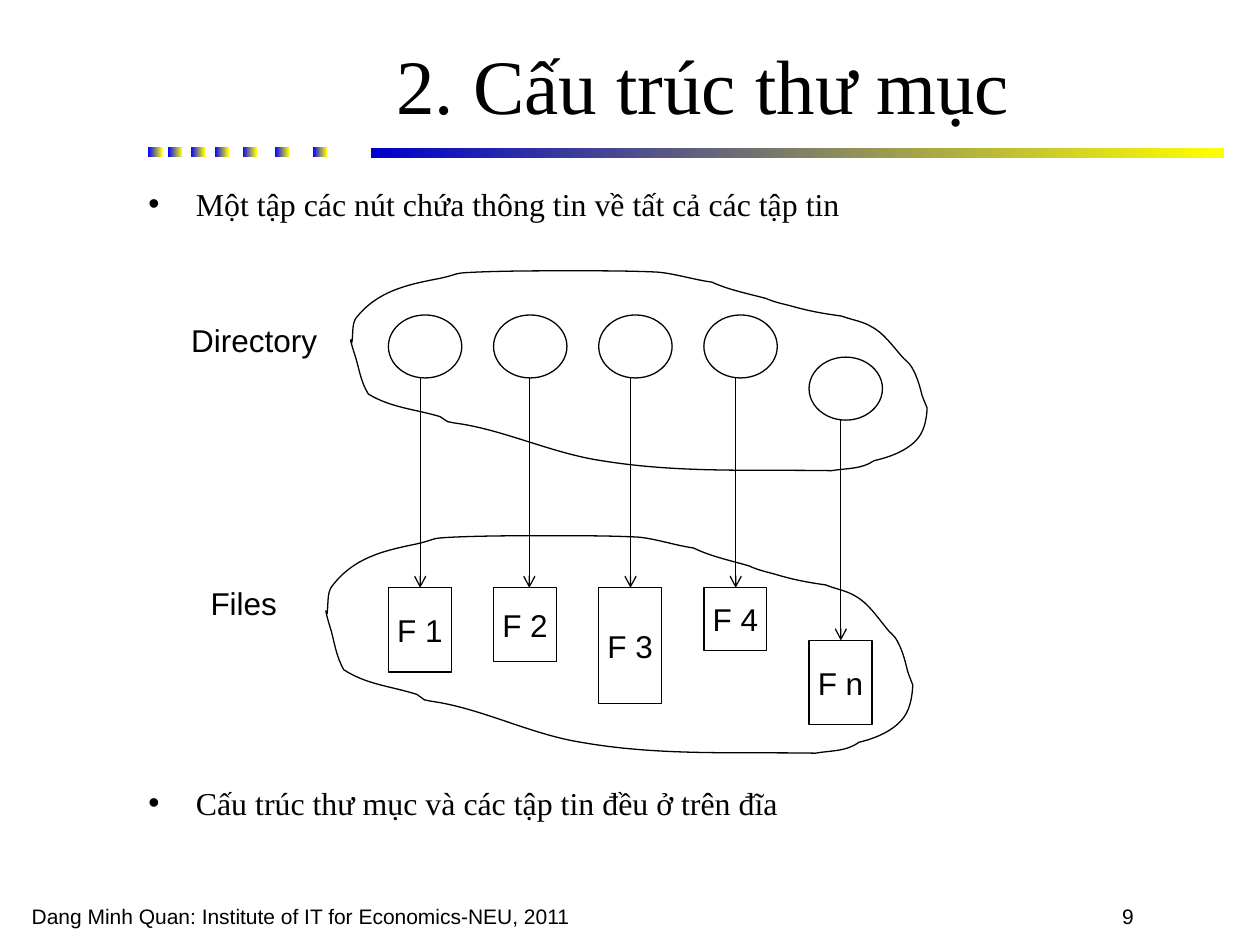
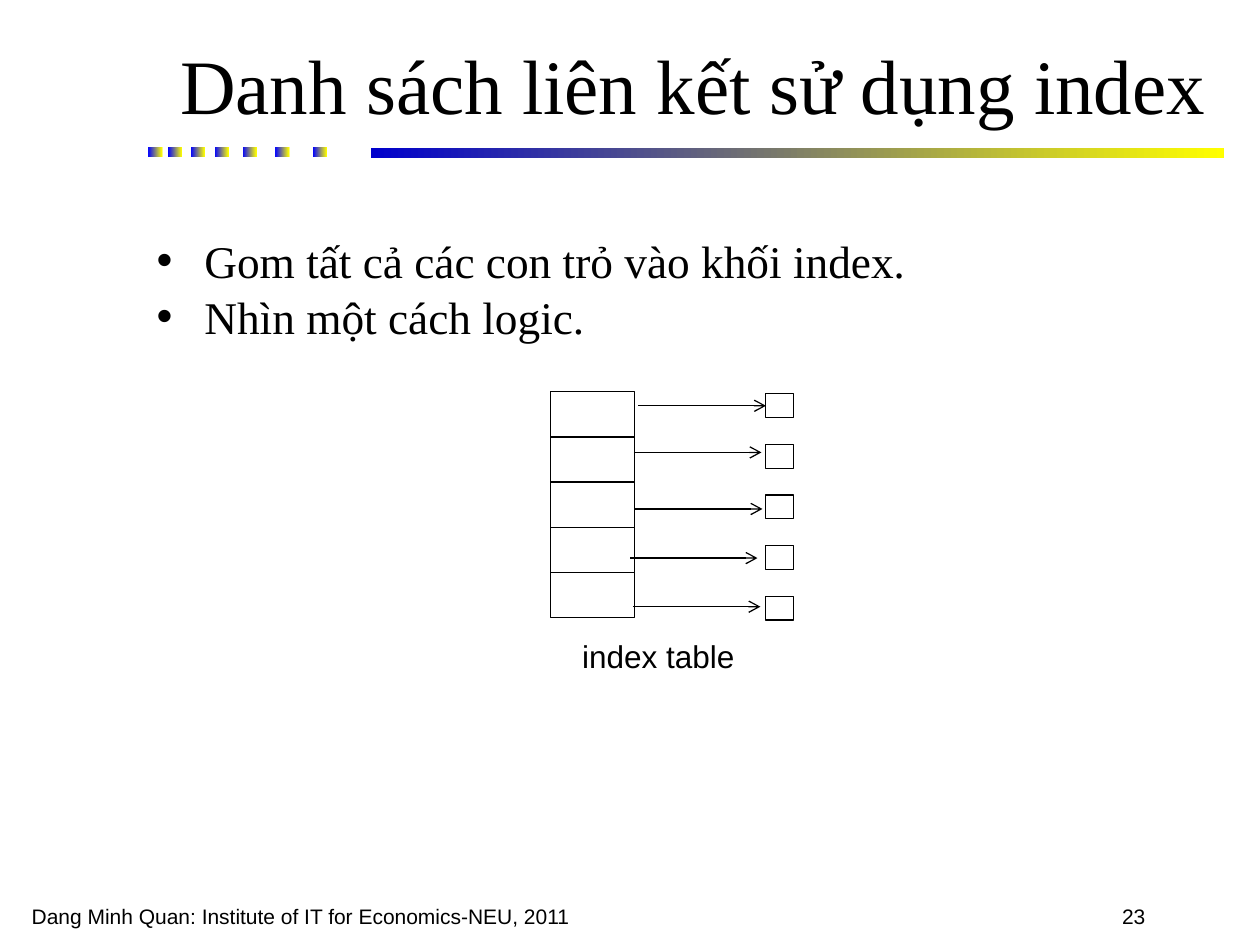
from collections import namedtuple

from lxml import etree
from pptx import Presentation
from pptx.dml.color import RGBColor
from pptx.enum import shapes as kinds, text as styles
from pptx.oxml import ns
from pptx.util import Cm, Pt

BLACK = RGBColor(0x00, 0x00, 0x00)
WHITE = RGBColor(0xFF, 0xFF, 0xFF)
YELLOW = RGBColor(0xFF, 0xFF, 0x00)
BLUE = RGBColor(0x00, 0x00, 0xFF)
DEEP_BLUE = RGBColor(0x00, 0x00, 0xCC)

SERIF, SANS = "Times New Roman", "Arial"
TITLE_FONT = {"name": SERIF, "size": Pt(44)}
LABEL_FONT = {"name": SANS, "size": Pt(18)}
FOOTER_FONT = {"name": SANS, "size": Pt(12)}
CENTER = {"alignment": styles.PP_ALIGN.CENTER}
LABEL_PARA = {**CENTER, "space_before": Pt(11.2)}
FOOTER = "Dang Minh Quan: Institute of IT for Economics-NEU, 2011"

# All boxes are in centimetres
Box = namedtuple("Box", "left top width height")
TITLE_BOX = Box(3.16, 0.64, 22.02, 2.11)
FOOTER_BOX = Box(0.39, 18.08, 11.68, 0.76)
NUMBER_BOX = Box(22.37, 18.08, 2.44, 0.76)
BAND_BOX = Box(2.99, 2.96, 21.68, 0.2)

# Outline of a hand-drawn set: a start point, then Bézier curves on a 458 x 161 grid
CLOUD_GRID = (458, 161)
CLOUD_START = (1, 57)
CLOUD_CURVES = [
    (2, 50, 1, 43, 4, 38), (21, 16, 45, 11, 71, 6), (89, 2, 79, 2, 101, 1),
    (126, 0, 151, 0, 177, 0), (199, 0, 221, 0, 243, 1), (257, 2, 272, 7, 287, 9),
    (300, 15, 315, 18, 330, 22), (337, 25, 342, 26, 350, 28),
    (364, 32, 375, 34, 390, 36), (398, 39, 406, 40, 413, 44),
    (423, 49, 430, 59, 437, 67), (440, 71, 444, 73, 446, 77),
    (450, 84, 452, 91, 454, 99), (455, 102, 458, 109, 458, 109),
    (458, 113, 457, 122, 454, 128), (448, 141, 430, 148, 416, 151),
    (406, 158, 394, 157, 382, 159), (318, 158, 260, 161, 199, 151),
    (159, 145, 121, 126, 82, 121), (80, 121, 79, 120, 77, 120),
    (75, 119, 73, 117, 71, 116), (51, 110, 32, 109, 14, 98),
    (8, 88, 7, 79, 4, 69), (4, 69, 0, 57, 0, 55), (0, 54, 1, 56, 1, 57),
]


# Shared helpers
def inside(box, left, top, width=0, height=0):
    return Box(box.left + left, box.top + top, width, height)


def lengths(box):
    return [Cm(value) for value in box]


def apply(target, values):
    for name, value in values.items():
        setattr(target, name, value)


def add_span(para, words, font, **extra):
    span = para.add_run()
    span.text = words
    apply(span.font, {**font, **extra})
    span.font.color.rgb = BLACK


def set_line(line):
    line.width = Pt(0.75)
    line.color.rgb = BLACK


def add_outlined(page, kind, box):
    shape = page.shapes.add_shape(kind, *lengths(box))
    shape.shadow.inherit = False
    shape.fill.solid()
    shape.fill.fore_color.rgb = WHITE
    set_line(shape.line)
    return shape


def add_gradient(page, box, start):
    shape = page.shapes.add_shape(kinds.MSO_SHAPE.RECTANGLE, *lengths(box))
    shape.shadow.inherit = False
    shape.line.fill.background()
    shape.fill.gradient()
    shape.fill.gradient_angle = 0
    for stop, color in zip(shape.fill.gradient_stops, (start, YELLOW)):
        stop.color.rgb = color


def add_text(page, box, words, font, para_format, frame_format):
    frame = page.shapes.add_textbox(*lengths(box)).text_frame
    apply(frame, frame_format)
    para = frame.paragraphs[0]
    apply(para, para_format)
    add_span(para, words, font)


def add_label(page, box, words):
    add_text(page, box, words, LABEL_FONT, LABEL_PARA, {
        "word_wrap": False, "vertical_anchor": styles.MSO_ANCHOR.MIDDLE,
        "auto_size": styles.MSO_AUTO_SIZE.SHAPE_TO_FIT_TEXT})


def add_bullets(page, box, items, size, para_format):
    """Each item is a list of (words, italic) pairs."""
    frame = page.shapes.add_textbox(*lengths(box)).text_frame
    frame.word_wrap = True
    for index, item in enumerate(items):
        para = frame.add_paragraph() if index else frame.paragraphs[0]
        apply(para, para_format)
        props = para._p.get_or_add_pPr()
        props.set("marL", str(Cm(0.96)))
        props.set("indent", str(-Cm(0.96)))
        color = etree.SubElement(props, ns.qn("a:buClr"))
        etree.SubElement(color, ns.qn("a:srgbClr"), val=str(BLACK))
        etree.SubElement(props, ns.qn("a:buFont"), typeface=SANS)
        etree.SubElement(props, ns.qn("a:buChar"), char="•")
        for words, italic in item:
            add_span(para, words, {"name": SERIF, "size": Pt(size)}, italic=italic)


def add_arrow(page, start, end):
    arrow = page.shapes.add_connector(
        kinds.MSO_CONNECTOR.STRAIGHT, *lengths(start[:2] + end[:2]))
    set_line(arrow.line)
    etree.SubElement(arrow.line._get_or_add_ln(), ns.qn("a:tailEnd"), type="arrow")
    etree.SubElement(arrow._element.spPr, ns.qn("a:effectLst"))


def add_cloud(page, box):
    def place(point):
        return (Cm(box.left + point[0] * box.width / CLOUD_GRID[0]),
                Cm(box.top + point[1] * box.height / CLOUD_GRID[1]))

    knots = [place(curve[i:i + 2]) for curve in CLOUD_CURVES for i in (0, 2, 4)]
    builder = page.shapes.build_freeform(*place(CLOUD_START))
    builder.add_line_segments(knots, close=False)
    cloud = builder.convert_to_shape()
    cloud.shadow.inherit = False
    cloud.fill.background()
    set_line(cloud.line)

    # Every three knots become one Bézier curve
    outline = next(cloud._element.iter(ns.qn("a:path")))
    segments = outline.findall(ns.qn("a:lnTo"))
    for first in range(0, len(segments), 3):
        curve = etree.SubElement(outline, ns.qn("a:cubicBezTo"))
        for segment in segments[first:first + 3]:
            curve.append(segment[0])
            outline.remove(segment)
    etree.SubElement(outline, ns.qn("a:close"))


# Parts that every slide has, kept on the layout
def add_band(page, box):
    for left in (0, 0.4, 0.86, 1.34, 1.9, 2.56, 3.32):
        add_gradient(page, inside(box, left, 0, 0.28, box.height), BLUE)
    add_gradient(page, inside(box, 4.49, 0.02, box.width - 4.49, box.height), DEEP_BLUE)


def dress_layout(page):
    """Draw the band and footer on an empty page and hand them to its layout."""
    layout = page.slide_layout
    for holder in list(layout.placeholders)[1:]:
        holder._element.getparent().remove(holder._element)
    add_band(page, BAND_BOX)
    add_text(page, FOOTER_BOX, FOOTER, FOOTER_FONT, {}, {"word_wrap": True})
    shared = [shape for shape in page.shapes if not shape.is_placeholder]
    for number, shape in enumerate(shared, start=20):
        shape._element.nvSpPr.cNvPr.set("id", str(number))
        layout.shapes._spTree.append(shape._element)


def add_page(deck, title, number):
    page = deck.slides.add_slide(deck.slide_layouts[5])
    if len(deck.slides) == 1:
        dress_layout(page)
    add_text(page, NUMBER_BOX, number, FOOTER_FONT, {}, {"word_wrap": False})
    holder = page.shapes.title
    apply(holder, dict(zip(Box._fields, lengths(TITLE_BOX))))
    apply(holder.text_frame, {"vertical_anchor": styles.MSO_ANCHOR.MIDDLE,
                              "auto_size": styles.MSO_AUTO_SIZE.NONE})
    para = holder.text_frame.paragraphs[0]
    apply(para, CENTER)
    add_span(para, title, TITLE_FONT)
    return page


# Directory nodes, each pointing to its file
def add_directory_diagram(page, box):
    first, pitch, node_top, file_top = 4.23, 2.12, 0.89, 6.39
    node_width, node_height, file_width = 1.48, 1.27, 1.27
    # name, file height, arrow offset in its column, drop of node, drop of file
    columns = [("F 1", 1.7, 0.64, 0, 0), ("F 2", 1.48, 0.72, 0, 0),
               ("F 3", 2.34, 0.64, 0, 0), ("F 4", 1.27, 0.64, 0, 0),
               ("F n", 1.7, 0.64, 0.85, 1.06)]
    for index, (name, height, offset, node_drop, file_drop) in enumerate(columns):
        left = first + index * pitch
        node_y, file_y = node_top + node_drop, file_top + file_drop
        add_outlined(page, kinds.MSO_SHAPE.OVAL,
                     inside(box, left, node_y, node_width, node_height))
        file = add_outlined(page, kinds.MSO_SHAPE.RECTANGLE,
                            inside(box, left, file_y, file_width, height))
        apply(file.text_frame, {"word_wrap": False,
                                "vertical_anchor": styles.MSO_ANCHOR.MIDDLE})
        para = file.text_frame.paragraphs[0]
        apply(para, CENTER)
        add_span(para, name, LABEL_FONT)
        add_arrow(page, inside(box, left + offset, node_y + node_height),
                  inside(box, left + offset, file_y))
    add_cloud(page, inside(box, 3.47, 0, 11.62, 4.08))
    add_cloud(page, inside(box, 2.97, 5.34, 11.83, 4.44))
    add_label(page, inside(box, 0, 0.89, 3.05, 1.02), "Directory")
    add_label(page, inside(box, 0.39, 6.18, 1.85, 1.02), "Files")


# Index cells, each pointing to a block
def add_index_diagram(page, box):
    cell_width, cell_height, block_pitch, arrow_length = 1.69, 0.91, 1.02, 2.57
    arrow_starts = [(1.77, 0.28), (1.68, 1.22), (1.7, 2.36), (1.6, 3.35), (1.66, 4.33)]
    rows = range(len(arrow_starts))
    for row in rows:
        add_outlined(page, kinds.MSO_SHAPE.RECTANGLE,
                     inside(box, 0, row * cell_height, cell_width, cell_height))
    for row in rows:
        add_outlined(page, kinds.MSO_SHAPE.RECTANGLE,
                     inside(box, 4.33, 0.04 + row * block_pitch, 0.57, 0.48))
    for left, top in arrow_starts:
        add_arrow(page, inside(box, left, top), inside(box, left + arrow_length, top))
    add_label(page, inside(box, 0.38, 4.82, 3.58, 1.02), "index table")


def add_directory_page(deck):
    page = add_page(deck, "2. Cấu trúc thư mục", "9")
    spacing = {"space_before": Pt(6.5)}
    add_bullets(page, Box(2.74, 3.6, 22.23, 1.07),
                [[("Một tập các nút chứa thông tin về tất cả các tập tin", False)]],
                18.2, spacing)
    add_directory_diagram(page, Box(3.6, 5.46, 15.1, 9.8))
    add_bullets(page, Box(2.74, 15.67, 22.66, 1.07),
                [[("Cấu trúc thư mục và các tập tin đều ở trên đĩa", False)]],
                18.2, spacing)


def add_index_page(deck):
    page = add_page(deck, "Danh sách liên kết sử dụng index ", "23")
    add_bullets(page, Box(2.91, 4.79, 19.53, 2.36),
                [[("Gom tất cả các con trỏ vào khối index", False), (".", True)],
                 [("Nhìn một cách logic.", False)]],
                25.9, {"space_before": Pt(7), "line_spacing": 0.8})
    add_index_diagram(page, Box(11.1, 7.9, 4.9, 5.85))


def main():
    deck = Presentation()
    deck.slide_width, deck.slide_height = Cm(25.4), Cm(19.05)
    add_directory_page(deck)
    add_index_page(deck)
    deck.save("out.pptx")


if __name__ == "__main__":
    main()
